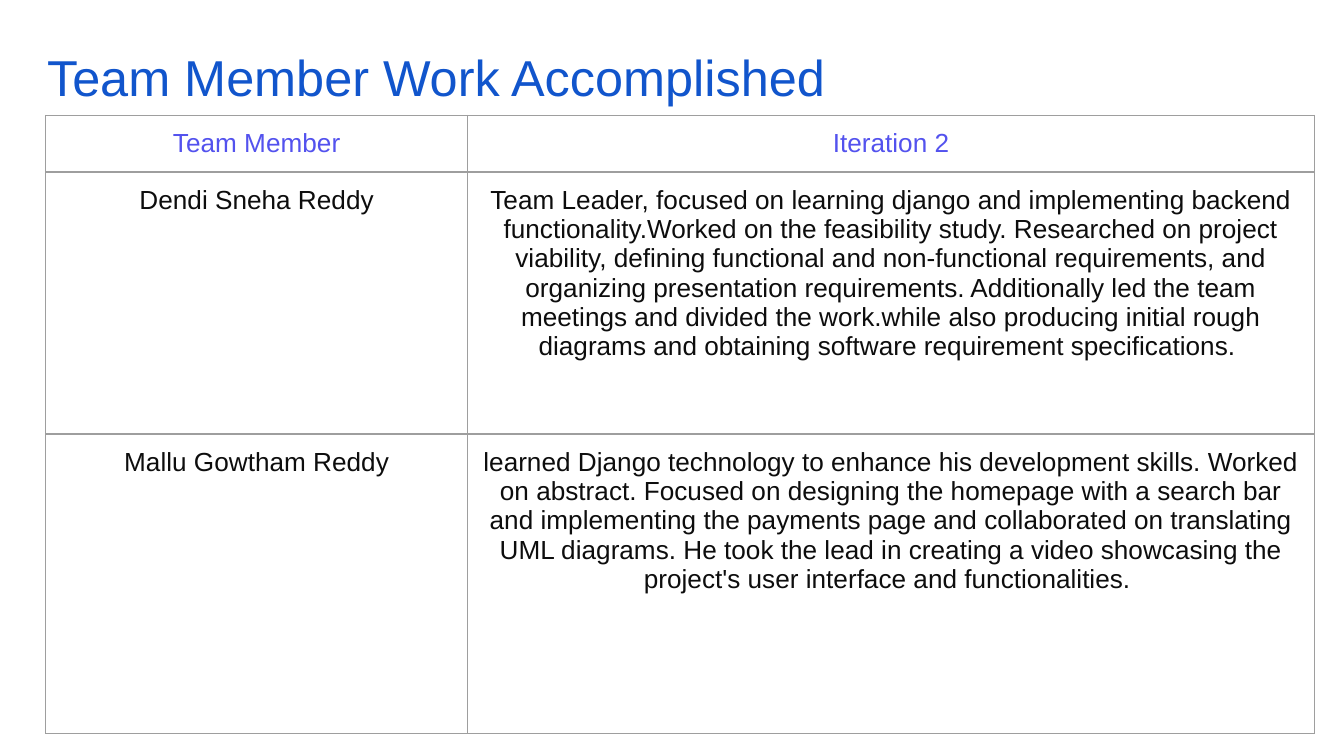
from lxml import etree
from pptx import Presentation
from pptx import util as u
from pptx.dml.color import RGBColor
from pptx.enum import text
from pptx.oxml import ns

COLORS = {"title": "1155CC", "header": "5352EE", "body": "0D0D0D", "border": "9E9E9E"}
ROWS = [
    ("Team Member", "Iteration 2"),
    ("Dendi Sneha Reddy",
     "Team Leader, focused on learning django and implementing backend "
     "functionality.Worked on the feasibility study. Researched on project viability, "
     "defining functional and non-functional requirements, and organizing presentation "
     "requirements. Additionally led the team meetings and divided the work.while also "
     "producing initial rough diagrams and obtaining software requirement specifications. "),
    ("Mallu Gowtham Reddy",
     "learned Django technology to enhance his development skills. Worked on abstract. "
     "Focused on designing the homepage with a search bar and implementing the payments "
     "page and collaborated on translating UML diagrams. He took the lead in creating a "
     "video showcasing the project's user interface and functionalities. "),
]


class SlideBuilder:
    """Holds the style and the current slide, and adds its elements."""

    def __init__(self, slide, font="Arial", inset=0.1):
        self.slide = slide
        self.font = font
        self.inset = u.Inches(inset)

    def set_insets(self, box):
        box.margin_left = box.margin_right = self.inset
        box.margin_top = box.margin_bottom = self.inset

    def add_run(self, paragraph, wording, size, color, alignment):
        paragraph.alignment = alignment
        run = paragraph.add_run()
        run.text = wording
        run.font.name = self.font
        run.font.size = u.Pt(size)
        run.font.color.rgb = RGBColor.from_string(COLORS[color])

    def add_title(self, wording, left, top, width, height):
        title = self.slide.shapes.title
        title.left, title.top = u.Inches(left), u.Inches(top)
        title.width, title.height = u.Inches(width), u.Inches(height)
        frame = title.text_frame
        frame.word_wrap = True
        frame.auto_size = text.MSO_AUTO_SIZE.NONE
        frame.vertical_anchor = text.MSO_ANCHOR.TOP
        self.set_insets(frame)
        self.add_run(frame.paragraphs[0], wording, 27, "title", text.PP_ALIGN.LEFT)

    def add_borders(self, cell, width=0.75):
        properties = cell._tc.get_or_add_tcPr()
        for position, side in enumerate(("lnL", "lnR", "lnT", "lnB")):
            line = etree.Element(ns.qn(f"a:{side}"), w=str(u.Pt(width)))
            fill = etree.SubElement(line, ns.qn("a:solidFill"))
            etree.SubElement(fill, ns.qn("a:srgbClr"), val=COLORS["border"])
            properties.insert(position, line)

    def add_table(self, rows, left, top, widths, heights):
        frame = self.slide.shapes.add_table(
            len(rows), len(widths), u.Inches(left), u.Inches(top),
            u.Inches(sum(widths)), u.Inches(sum(heights)))
        table = frame.table
        table.first_row = table.horz_banding = False
        for column, width in zip(table.columns, widths):
            column.width = u.Inches(width)
        for row_index, (row, height) in enumerate(zip(rows, heights)):
            table.rows[row_index].height = u.Inches(height)
            color = "body" if row_index else "header"
            for column_index, wording in enumerate(row):
                cell = table.cell(row_index, column_index)
                cell.fill.background()
                self.set_insets(cell)
                self.add_borders(cell)
                self.add_run(cell.text_frame.paragraphs[0], wording, 14, color,
                             text.PP_ALIGN.CENTER)


def main():
    presentation = Presentation()
    presentation.slide_width = u.Inches(10)
    presentation.slide_height = u.Inches(10 * 9 / 16)
    slide = presentation.slides.add_slide(presentation.slide_layouts[5])
    builder = SlideBuilder(slide)
    builder.add_title("Team Member Work Accomplished", 0.25, 0.24, 9.32, 0.63)
    builder.add_table(ROWS, 0.34, 0.86, (3.14, 6.3), (0.42, 1.95, 2.23))
    presentation.save("out.pptx")


if __name__ == "__main__":
    main()
